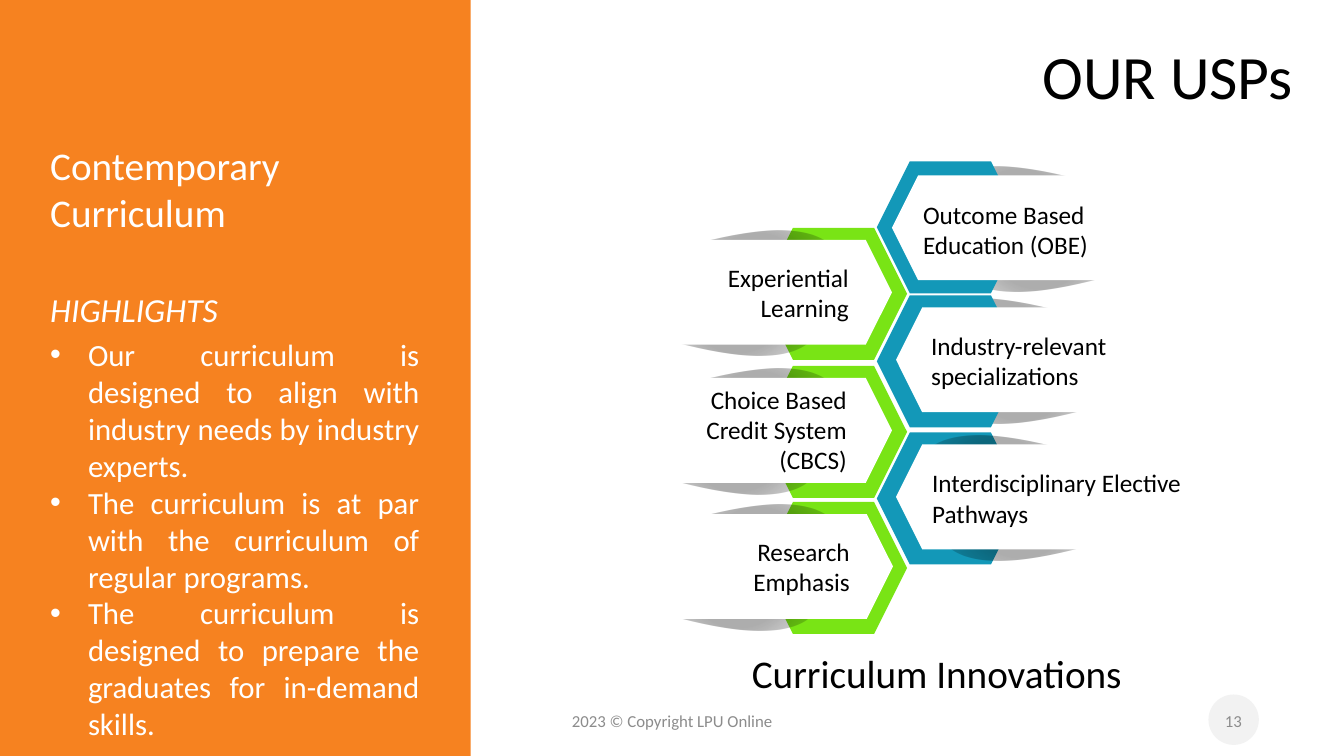
from dataclasses import dataclass
from math import cos, radians, sin

from lxml import etree
from pptx import Presentation
from pptx.dml.color import RGBColor
from pptx.enum.shapes import MSO_SHAPE
from pptx.enum.text import MSO_ANCHOR, MSO_AUTO_SIZE, PP_ALIGN
from pptx.oxml import parse_xml
from pptx.oxml.ns import nsdecls, qn
from pptx.util import Cm, Pt

RECTANGLE, HEXAGON, CIRCLE = MSO_SHAPE.RECTANGLE, MSO_SHAPE.HEXAGON, MSO_SHAPE.FLOWCHART_CONNECTOR
LEFT, RIGHT, CENTER, JUSTIFY = PP_ALIGN.LEFT, PP_ALIGN.RIGHT, PP_ALIGN.CENTER, PP_ALIGN.JUSTIFY
TOP, MIDDLE = MSO_ANCHOR.TOP, MSO_ANCHOR.MIDDLE
GROW, FIXED = MSO_AUTO_SIZE.SHAPE_TO_FIT_TEXT, MSO_AUTO_SIZE.NONE

ORANGE, BLUE, GREEN = "F68220", "1398B8", "79E415"
BLACK, WHITE, GRAY, PALE = "000000", "FFFFFF", "8C8C8C", "F2F2F2"

# Swoosh around its own centre: start point, then cubic curves and straight corners.
SWOOSH = [
    [(-0.2, -0.57)],
    [(-0.42, -0.57), (-0.63, -0.53), (-0.74, -0.41)],
    [(-0.93, -0.2), (-0.95, 0.07), (-0.85, 0.33)],
    [(-0.79, 0.44)], [(-0.79, 0.22)], [(0.92, 0.22)], [(0.92, 0.21)],
    [(0.93, 0.18), (0.94, 0.15), (0.96, 0.12)],
    [(0.77, -0.11), (1.1, -0.29), (0.82, -0.38)],
    [(0.64, -0.43), (0.19, -0.56), (-0.2, -0.57)],
]
SWOOSH_ANGLE, SWOOSH_WIDTH, SWOOSH_HEIGHT = 130.9, 1.69, 1.67
SHADE_STOPS = [(0, 34), (32, 32), (70, 0), (100, 0)]  # position, opacity in percent
PLATE = [(0.9, 0), (0.26, 0), (0, 0.52), (0.26, 1.04), (0.64, 1.04), (0.9, 1.04), (2.95, 1.04), (2.95, 0)]


@dataclass
class Usp:
    text: str
    tip: float       # x of the plate's pointed end
    top: float       # y of the plate's upper edge
    box: tuple
    reach: float     # tip to centre of the upper swoosh
    rim: float = 0.12
    shaded: bool = True  # swooshes lie over the hexagon


RIGHT_USPS = [
    Usp("Outcome Based Education (OBE)", 8.85, 1.74, (9.06, 1.93, 2.53, 0.71), 1.26, 0.14, False),
    Usp("Industry-relevant specializations", 8.89, 3.05, (9.14, 3.23, 2.31, 0.71), 1.04, shaded=False),
    Usp("Interdisciplinary Elective Pathways", 8.89, 4.41, (9.15, 4.59, 2.77, 0.71), 1.04),
]
LEFT_USPS = [
    Usp("Experiential Learning", 8.85, 2.38, (6.66, 2.55, 1.86, 0.71), 1.34),
    Usp("Choice Based Credit System (CBCS)", 8.85, 3.75, (6.63, 3.76, 1.87, 1.01), 1.34),
    Usp("Research Emphasis", 8.86, 5.1, (6.43, 5.27, 2.1, 0.71), 1.34),
]
HIGHLIGHTS = [
    "Our curriculum is designed to align with industry needs by industry experts.",
    "The curriculum is at par with the curriculum of regular programs.",
    "The curriculum is designed to prepare the graduates for in-demand skills.",
]


def color(value):
    return RGBColor.from_string(value)


def inches(value):
    return Cm(value * 2.54)


class UspSlide:
    def __init__(self, page, font):
        self.page, self.font = page, font
        self.shapes = page.shapes

    def start_group(self):
        self.shapes = self.page.shapes.add_group_shape().shapes

    def end_group(self):
        self.shapes = self.page.shapes

    def plain(self, shape, fill):
        shape.shadow.inherit = False
        shape.line.fill.background()
        shape.fill.solid()
        shape.fill.fore_color.rgb = color(fill)
        return shape

    def shape(self, kind, place, fill):
        return self.plain(self.shapes.add_shape(kind, *map(inches, place)), fill)

    def outline(self, points, fill):
        corners = [(inches(x), inches(y)) for x, y in points]
        builder = self.shapes.build_freeform(*corners[0])
        builder.add_line_segments(corners[1:], close=True)
        return self.plain(builder.convert_to_shape(), fill)

    def swoosh(self, center_x, center_y, flip_x, flip_y):
        """Draw a soft curved shadow, turned so that its round gradient turns along."""
        angle = SWOOSH_ANGLE if flip_x == flip_y else 360 - SWOOSH_ANGLE
        c, s = cos(radians(angle)), sin(radians(angle))
        left, top = center_x - SWOOSH_WIDTH / 2, center_y - SWOOSH_HEIGHT / 2

        def turned(point):
            x, y = point[0] * flip_x, point[1] * flip_y
            return SWOOSH_WIDTH / 2 + x * c + y * s, SWOOSH_HEIGHT / 2 - x * s + y * c

        segments = [[turned(point) for point in segment] for segment in SWOOSH]
        shape = self.outline([(left + x, top + y) for *_, (x, y) in segments], BLACK)
        shape.left, shape.top = inches(left), inches(top)
        shape.width, shape.height = inches(SWOOSH_WIDTH), inches(SWOOSH_HEIGHT)
        shape.rotation = angle

        properties = shape.element.spPr
        track = next(properties.iter(qn("a:path")))
        track.set("w", str(shape.width))
        track.set("h", str(shape.height))
        for step, segment in zip(list(track), segments):
            points = "".join(f'<a:pt x="{inches(x)}" y="{inches(y)}"/>' for x, y in segment)
            tag = "cubicBezTo" if len(segment) == 3 else etree.QName(step).localname
            track.replace(step, parse_xml(f'<a:{tag} {nsdecls("a")}>{points}</a:{tag}>'))

        stops = "".join(
            f'<a:gs pos="{pos * 1000}"><a:srgbClr val="{BLACK}"><a:alpha val="{alpha * 1000}"/></a:srgbClr></a:gs>'
            for pos, alpha in SHADE_STOPS)
        gradient = parse_xml(
            f'<a:gradFill {nsdecls("a")} rotWithShape="1"><a:gsLst>{stops}</a:gsLst><a:path path="circle">'
            '<a:fillToRect l="50000" t="50000" r="50000" b="50000"/></a:path></a:gradFill>')
        properties.replace(properties.find(qn("a:solidFill")), gradient)

    def text(self, lines, place, size, ink=BLACK, align=LEFT, anchor=TOP, fit=GROW,
             italic=False, bullet=False, spacing=None):
        frame = self.shapes.add_textbox(*map(inches, place)).text_frame
        frame.word_wrap, frame.auto_size, frame.vertical_anchor = True, fit, anchor
        for index, line in enumerate(lines):
            para = frame.paragraphs[0] if index == 0 else frame.add_paragraph()
            para.alignment = align
            if spacing:
                para.line_spacing = spacing
            if bullet:
                indent = inches(0.375)
                properties = para._p.get_or_add_pPr()
                properties.set("marL", str(indent))
                properties.set("indent", str(-indent))
                etree.SubElement(properties, qn("a:buFont"), typeface="Arial")
                etree.SubElement(properties, qn("a:buChar"), char="•")
            span = para.add_run()
            span.text = line
            span.font.name, span.font.size = self.font, Pt(size)
            span.font.italic = italic
            span.font.color.rgb = color(ink)

    def usp(self, usp, side, hexagon_left, fill):
        """Draw one hexagon with its plate; side is 1 to the right, -1 to the left."""
        def hexagon():
            self.shape(HEXAGON, (hexagon_left, usp.top - usp.rim, 1.46, 1.31), fill)

        if usp.shaded:
            hexagon()
        self.swoosh(usp.tip + side * usp.reach, usp.top + 0.48, side, 1)
        self.swoosh(usp.tip + side * (usp.reach + 0.2), usp.top + 0.58, side, -1)
        if not usp.shaded:
            hexagon()
        self.outline([(usp.tip + side * x, usp.top + y) for x, y in PLATE], WHITE)
        self.text([usp.text], usp.box, 18, align=LEFT if side == 1 else RIGHT)


def main():
    deck = Presentation()
    deck.slide_width, deck.slide_height = Cm(33.87), Cm(19.05)
    slide = UspSlide(deck.slides.add_slide(deck.slide_layouts[6]), "Calibri")

    slide.shape(RECTANGLE, (0, 0, 4.67, 7.5), ORANGE)
    slide.text(["OUR USPs"], (0.91, 0.21, 12.02, 1.15), 44, align=RIGHT, anchor=MIDDLE, fit=FIXED, spacing=0.9)
    slide.text(["Contemporary Curriculum"], (0.4, 1.35, 3.15, 1.04), 28, WHITE)
    slide.text(HIGHLIGHTS, (0.4, 3.28, 3.86, 3.8), 22, WHITE, JUSTIFY, bullet=True)
    slide.text(["HIGHLIGHTS"], (0.4, 2.82, 2.53, 0.5), 24, WHITE, italic=True)

    slide.shape(CIRCLE, (11.99, 6.89, 0.5, 0.5), PALE)
    slide.text(["13"], (9.42, 6.95, 3, 0.4), 12, GRAY, RIGHT, MIDDLE, FIXED)
    slide.text(["2023 © Copyright LPU Online"], (4.42, 6.95, 4.5, 0.4), 12, GRAY, CENTER, MIDDLE, FIXED)

    for usps, side, hexagon_left, fill in ((RIGHT_USPS, 1, 8.7, BLUE), (LEFT_USPS, -1, 7.54, GREEN)):
        slide.start_group()
        for usp in usps:
            slide.usp(usp, side, hexagon_left, fill)
    slide.end_group()
    slide.text(["Curriculum Innovations"], (5.96, 6.39, 6.67, 0.57), 28, align=CENTER)

    deck.save("out.pptx")


if __name__ == "__main__":
    main()
